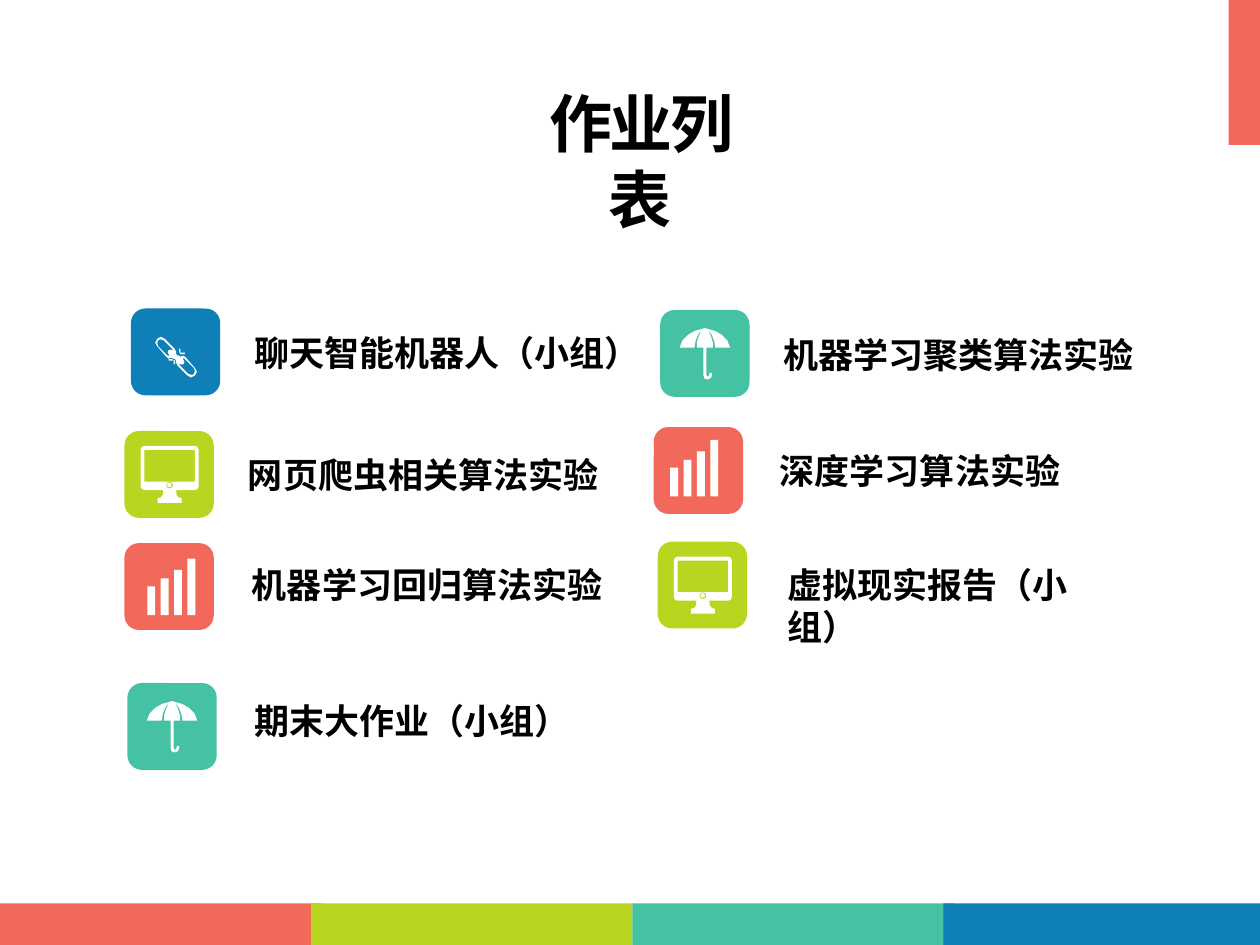
from pptx import Presentation
from pptx import util as u
from pptx.dml.color import RGBColor
from pptx.enum import shapes, text

CORAL = RGBColor(0xF2, 0x68, 0x5A)
LIME = RGBColor(0xB9, 0xD5, 0x1F)
TEAL = RGBColor(0x45, 0xC1, 0xA4)
BLUE = RGBColor(0x0E, 0x7F, 0xB7)
WHITE = RGBColor(0xFF, 0xFF, 0xFF)
BLACK = RGBColor(0, 0, 0)
SHAPE = shapes.MSO_SHAPE
UNITS = 1000


def paint(shape, color):
    """Give a shape a flat fill without line or shadow."""
    shape.fill.solid()
    shape.fill.fore_color.rgb = color
    shape.line.fill.background()
    shape.shadow.inherit = False


def block(slide, box, color, kind=SHAPE.RECTANGLE):
    """Place a filled preset shape in a box given in centimetres."""
    paint(slide.shapes.add_shape(kind, *map(u.Cm, box)), color)


def outline(slide, left, top, contours):
    """Draw closed white contours relative to a corner, in centimetres."""
    scaled = [[(x * UNITS, y * UNITS) for x, y in points] for points in contours]
    builder = slide.shapes.build_freeform(*scaled[0][0], scale=u.Cm(1) / UNITS)
    for index, points in enumerate(scaled):
        if index:
            builder.move_to(*points[0])
        builder.add_line_segments(points[1:], close=True)
    paint(builder.convert_to_shape(u.Cm(left), u.Cm(top)), WHITE)


def chain(slide, left, top):
    """Draw a broken chain: one link, its half-turn and four sparks."""
    rim = [(0.38, 0.22), (0.2, 0.01), (0.15, -0.03), (0.08, -0.01), (0.05, -0.04),
           (0, -0.01), (-0.03, 0.04), (0, 0.06), (0, 0.11), (0.03, 0.17),
           (0.23, 0.37), (0.3, 0.41), (0.38, 0.37), (0.42, 0.29)]
    hole = [(0.36, 0.34), (0.32, 0.36), (0.25, 0.34), (0.08, 0.17), (0.05, 0.11),
            (0.08, 0.14), (0.11, 0.15), (0.15, 0.14), (0.17, 0.1), (0.15, 0.06),
            (0.13, 0.01), (0.18, 0.04), (0.36, 0.22), (0.38, 0.28)]
    for turn in (1, -1):
        link = [[(turn * x, turn * y) for x, y in points] for points in (rim, hole)]
        outline(slide, left + 0.91, top + 0.98, link)
    for x, y, width, height in ((0.97, 0.81, 0.03, 0.08), (0.99, 0.89, 0.1, 0.03),
                                (0.86, 1.04, 0.03, 0.08), (0.76, 1.02, 0.08, 0.03)):
        block(slide, (left + x, top + y, width, height), WHITE)


def monitor(slide, left, top):
    """Draw a desktop monitor with its round button."""
    half = [(0.51, 0.3), (0.56, 0.32), (0.585, 0.38), (0.585, 1.12), (0.56, 1.17),
            (0.51, 1.19), (0.13, 1.19), (0.14, 1.29), (0.18, 1.34), (0.24, 1.35),
            (0.24, 1.45)]
    frame = half + [(-x, y) for x, y in reversed(half)]
    screen = [(-0.51, 0.38), (0.51, 0.38), (0.51, 1.02), (-0.51, 1.02)]
    socket = [(0, 1.02), (0.05, 1.04), (0.07, 1.09), (0.05, 1.14),
              (0, 1.16), (-0.05, 1.14), (-0.07, 1.09), (-0.05, 1.04)]
    outline(slide, left + 0.91, top, [frame, screen, socket])
    block(slide, (left + 0.86, top + 1.04, 0.09, 0.09), WHITE, SHAPE.OVAL)


def bars(slide, left, top):
    """Draw four rising bars on a common base."""
    for index, height in enumerate((0.58, 0.74, 0.91, 1.14)):
        block(slide, (left + 0.46 + 0.27 * index, top + 1.45 - height, 0.16, height), WHITE)


def raised_bars(slide, left, top):
    """Draw the rising bars closer to the upper left."""
    bars(slide, left - 0.13, top - 0.05)


def umbrella(slide, left, top):
    """Draw an open umbrella with mirrored canopy and a hooked handle."""
    canopy = [(0, 0.36), (0.05, 0.38), (0.2, 0.42), (0.34, 0.5), (0.45, 0.61),
              (0.51, 0.76), (0.21, 0.76), (0.19, 0.63), (0.14, 0.5), (0.05, 0.38),
              (0.12, 0.52), (0.16, 0.65), (0.16, 0.76), (0.03, 0.76)]
    hook = [(0.03, 1.31), (0.05, 1.34), (0.07, 1.34), (0.09, 1.31), (0.09, 1.27),
            (0.14, 1.27), (0.14, 1.33), (0.11, 1.38), (0.05, 1.4), (-0.01, 1.38),
            (-0.03, 1.31)]
    mirrored = [(-x, y) for x, y in reversed(canopy)]
    outline(slide, left + 0.9, top, [canopy + hook + mirrored])


def write(slide, box, wording, font, size):
    """Place one bold black line of text and return its frame and run."""
    frame = slide.shapes.add_textbox(*map(u.Cm, box)).text_frame
    frame.word_wrap = True
    frame.auto_size = text.MSO_AUTO_SIZE.SHAPE_TO_FIT_TEXT
    run = frame.paragraphs[0].add_run()
    run.text = wording
    run.font.name = font
    run.font.size = u.Pt(size)
    run.font.bold = True
    run.font.color.rgb = BLACK
    return frame, run


def title(slide, box):
    """Write the centred heading with tightened letters."""
    frame, run = write(slide, box, "作业列表", "Calibri", 36)
    frame.word_wrap = False
    frame.margin_left = frame.margin_right = u.Cm(0.13)
    frame.margin_top = frame.margin_bottom = u.Cm(0.08)
    frame.paragraphs[0].alignment = text.PP_ALIGN.CENTER
    run.font._element.set("spc", "-150")


def assignment(slide, corner, color, icon, label_box, wording):
    """Place a rounded tile with its icon and the label beside it."""
    left, top = corner
    across, down, width = label_box
    block(slide, (left, top, 1.8, 1.75), color, SHAPE.ROUNDED_RECTANGLE)
    icon(slide, left, top)
    write(slide, (left + across, top + down, width, 1.12), wording, "Open Sans", 20)


def decoration(slide):
    """Draw the bottom colour band and the corner tab."""
    for left, color in zip((0, 6.27, 12.75, 19.02), (CORAL, LIME, TEAL, BLUE)):
        block(slide, (left, 18.21, 6.48, 0.84), color)
    block(slide, (24.77, -0.05, 0.71, 2.97), CORAL)


def main():
    """Build and save the assignment list slide."""
    deck = Presentation()
    deck.slide_width, deck.slide_height = u.Cm(25.4), u.Cm(19.05)
    slide = deck.slides.add_slide(deck.slide_layouts[6])
    decoration(slide)
    title(slide, (10.31, 1.63, 5.18, 1.68))
    assignments = (
        ((2.64, 6.22), BLUE, chain, (2.24, 0.33, 12.75), "聊天智能机器人（小组）"),
        ((2.51, 8.69), LIME, monitor, (2.24, 0.33, 9.35), "网页爬虫相关算法实验"),
        ((2.51, 10.95), CORAL, bars, (2.32, 0.28, 9.35), "机器学习回归算法实验"),
        ((2.57, 13.77), TEAL, umbrella, (2.31, 0.2, 8), "期末大作业（小组）"),
        ((13.31, 6.25), TEAL, umbrella, (2.23, 0.35, 8), "机器学习聚类算法实验"),
        ((13.18, 8.61), CORAL, raised_bars, (2.29, 0.33, 6.38), "深度学习算法实验"),
        ((13.26, 10.92), LIME, monitor, (2.36, 0.31, 7.47), "虚拟现实报告（小组）"),
    )
    for entry in assignments:
        assignment(slide, *entry)
    deck.save("out.pptx")


if __name__ == "__main__":
    main()
